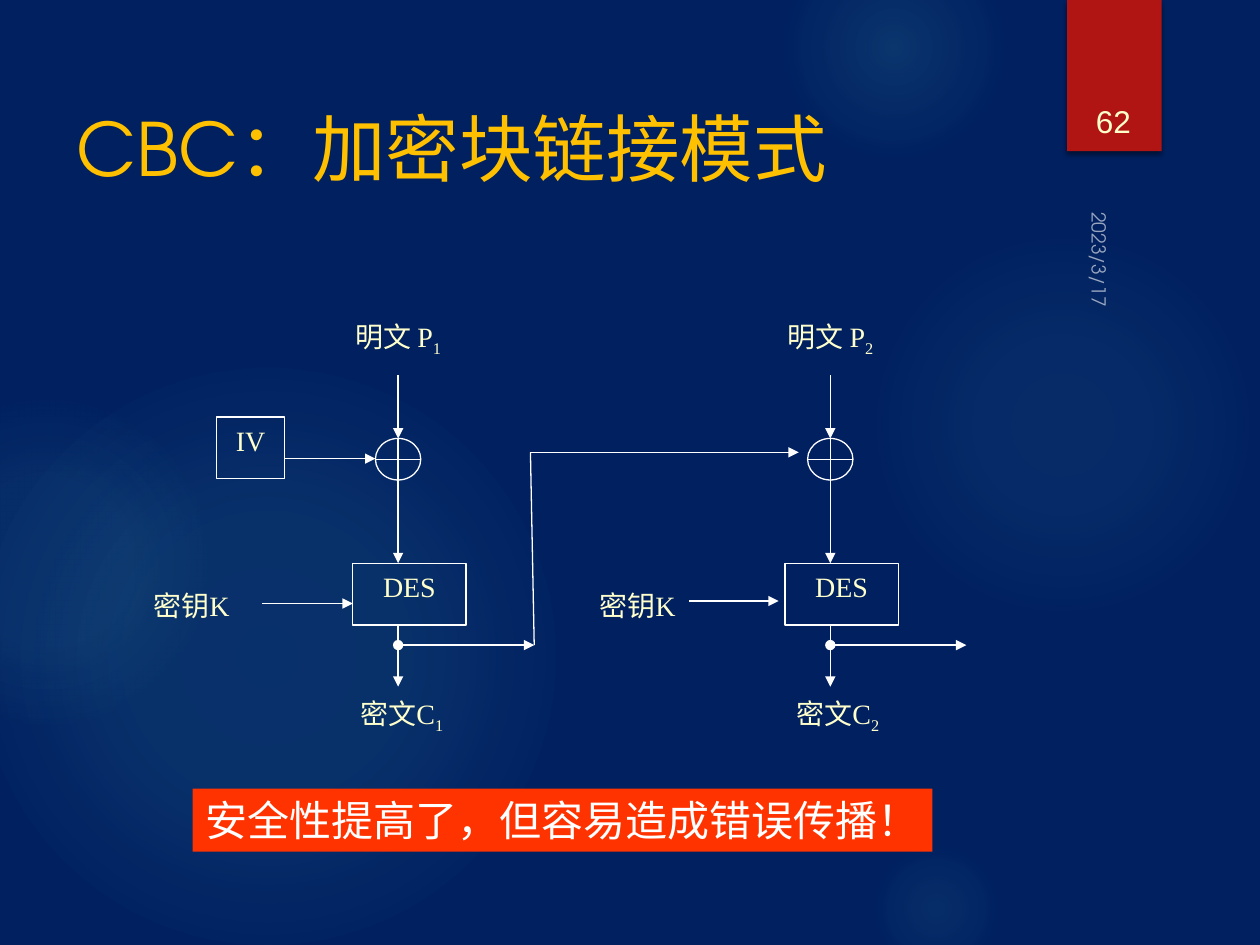
import pptx
import pptx.dml.color
import pptx.enum.shapes
import pptx.enum.text
import pptx.oxml
import pptx.util
from lxml import etree
from pptx.oxml.ns import nsdecls, qn

Inches = pptx.util.Inches
Pt = pptx.util.Pt
SHAPE = pptx.enum.shapes.MSO_SHAPE
ALIGN = pptx.enum.text.PP_ALIGN
ANCHOR = pptx.enum.text.MSO_ANCHOR


def color(hex_value):
    return pptx.dml.color.RGBColor.from_string(hex_value)


class CipherSlide:
    heading_font = "TeX Gyre Adventor"
    body_font = "Times New Roman"
    white = "FFFFFF"
    cream = "FFFFCC"
    gold = "FFC000"
    glow_color = "50B9C1"

    def __init__(self, deck, background):
        self.slide = deck.slides.add_slide(deck.slide_layouts[5])
        self.slide.background.fill.solid()
        self.slide.background.fill.fore_color.rgb = color(background)

    def add_text(self, paragraph, text, size=16, font=body_font, ink=cream):
        run = paragraph.add_run()
        run.text = text
        run.font.size = Pt(size)
        run.font.name = font
        run.font.color.rgb = color(ink)
        return run

    def title(self, text, box):
        heading = self.slide.shapes.title
        heading.left, heading.top, heading.width, heading.height = map(Inches, box)
        heading.text_frame.vertical_anchor = ANCHOR.MIDDLE
        paragraph = heading.text_frame.paragraphs[0]
        paragraph.alignment = ALIGN.LEFT
        self.add_text(paragraph, text, 42, self.heading_font, self.gold)

    def label(self, text, box, subscript="", spacing=0, align=ALIGN.CENTER,
              anchor=ANCHOR.TOP, rotation=0, **style):
        """Add a text box; return its main run."""
        holder = self.slide.shapes.add_textbox(*map(Inches, box))
        holder.rotation = rotation
        frame = holder.text_frame
        frame.word_wrap = True
        frame.vertical_anchor = anchor
        paragraph = frame.paragraphs[0]
        paragraph.alignment = align
        paragraph.space_before = paragraph.space_after = Pt(spacing)
        main_run = self.add_text(paragraph, text, **style)
        if subscript:
            index = self.add_text(paragraph, subscript, **style)
            index.font._element.set("baseline", "-25000")
        return main_run

    def shape(self, kind, box, fill=None, outline=None):
        body = self.slide.shapes.add_shape(kind, *map(Inches, box))
        body.shadow.inherit = False
        if fill:
            body.fill.solid()
            body.fill.fore_color.rgb = color(fill)
        else:
            body.fill.background()
        if outline:
            body.line.color.rgb = color(outline)
            body.line.width = Pt(0.75)
        else:
            body.line.fill.background()
        return body

    def block(self, text, box):
        """Add an outlined box with its name at the top."""
        frame = self.shape(SHAPE.RECTANGLE, box, outline=self.white).text_frame
        frame.vertical_anchor = ANCHOR.TOP
        frame.paragraphs[0].alignment = ALIGN.CENTER
        self.add_text(frame.paragraphs[0], text)

    def glow(self, left, top, size, stops):
        """Add a circle that fades outwards; stops are (position, opacity) in percent."""
        circle = self.shape(SHAPE.OVAL, (left, top, size, size))
        stop_xml = "".join(
            f'<a:gs pos="{position * 1000}"><a:srgbClr val="{self.glow_color}">'
            f'<a:alpha val="{opacity * 1000}"/></a:srgbClr></a:gs>'
            for position, opacity in stops)
        gradient = pptx.oxml.parse_xml(
            f'<a:gradFill {nsdecls("a")}><a:gsLst>{stop_xml}</a:gsLst>'
            '<a:path path="circle"><a:fillToRect l="50000" t="50000" r="50000" b="50000"/>'
            '</a:path></a:gradFill>')
        properties = circle._element.spPr
        properties.replace(properties.find(qn("a:noFill")), gradient)

    def ribbon(self, box, fill):
        tab = self.shape(SHAPE.RECTANGLE, box, fill)
        effects = tab._element.spPr.find(qn("a:effectLst"))
        effects.append(pptx.oxml.parse_xml(
            f'<a:outerShdw {nsdecls("a")} blurRad="{Pt(3)}" dist="{Pt(2)}" dir="5400000">'
            '<a:srgbClr val="000000"><a:alpha val="45000"/></a:srgbClr></a:outerShdw>'))

    def line(self, start, end, head=None, tail="triangle"):
        link = self.slide.shapes.add_connector(
            pptx.enum.shapes.MSO_CONNECTOR.STRAIGHT, *map(Inches, (*start, *end)))
        link.line.color.rgb = color(self.white)
        link.line.width = Pt(0.75)
        outline = link.line._get_or_add_ln()
        for tag, mark in (("a:headEnd", head), ("a:tailEnd", tail)):
            if mark:
                etree.SubElement(outline, qn(tag)).set("type", mark)
        etree.SubElement(link._element.spPr, qn("a:effectLst"))

    def banner(self, text, box, fill):
        frame = self.shape(SHAPE.RECTANGLE, box, fill).text_frame
        frame.word_wrap = False
        frame.auto_size = pptx.enum.text.MSO_AUTO_SIZE.SHAPE_TO_FIT_TEXT
        frame.vertical_anchor = ANCHOR.TOP
        frame.paragraphs[0].alignment = ALIGN.LEFT
        self.add_text(frame.paragraphs[0], text, 24, ink=self.white)

    def stage(self, number, axis, key_box, key_arrow, cipher_box):
        """Draw one encryption stage along the vertical at axis."""
        self.label("明文 P", (axis - 0.54, 2.49, 1.08, 0.49), number)
        self.line((axis, 2.98), (axis, 3.48))
        self.shape(SHAPE.FLOWCHART_OR, (axis - 0.18, 3.48, 0.36, 0.33), outline=self.white)
        self.line((axis, 3.81), (axis, 4.47))
        self.block("DES", (axis - 0.36, 4.47, 0.9, 0.49))
        self.label("密钥K", key_box)
        self.line(*key_arrow)
        self.line((axis, 4.96), (axis, 5.45))
        self.line((axis, 5.12), (axis + 1.08, 5.12), head="oval")
        self.label("密文C", cipher_box, number, spacing=7.8)


def main():
    deck = pptx.Presentation()
    deck.slide_width, deck.slide_height = Inches(10), Inches(7.5)
    page = CipherSlide(deck, "002060")

    page.glow(6.89, 1.83, 3.08, [(0, 7), (36, 6), (69, 0)])
    page.glow(6.22, -0.5, 1.75, [(0, 14), (36, 7), (73, 0)])
    page.glow(6.89, 6.67, 1.08, [(0, 9), (36, 5), (66, 0)])
    page.glow(-0.17, 2.92, 4.58, [(0, 11), (36, 10), (75, 0)])
    page.glow(-0.92, 3.17, 2.58, [(0, 8), (36, 8), (72, 0)])
    page.ribbon((8.47, 0, 0.75, 1.2), "B01513")

    date = page.label("2023/3/17", (8.2, 2, 1.08, 0.25), align=ALIGN.LEFT, rotation=90,
                      size=11, font=page.heading_font, ink=page.white)
    date_color = date.font._element.find(".//" + qn("a:srgbClr"))
    etree.SubElement(date_color, qn("a:alpha")).set("val", "60000")
    page.label("62", (8.49, 0.32, 0.69, 0.84), anchor=ANCHOR.BOTTOM, size=18, font="Arial")
    page.title("CBC：加密块链接模式", (0.51, 0.72, 7.72, 0.9))

    page.stage("1", 3.16, (0.98, 4.62, 1.08, 0.49), ((2.08, 4.79), (2.8, 4.79)),
               (2.56, 5.48, 1.26, 0.39))
    page.stage("2", 6.59, (4.61, 4.62, 0.9, 0.49), ((5.47, 4.77), (6.18, 4.77)),
               (6.02, 5.48, 1.26, 0.47))
    page.block("IV", (1.72, 3.31, 0.54, 0.49))
    page.line((2.26, 3.64), (2.98, 3.64))

    chain_top = (4.21, 3.59)
    page.line(chain_top, (4.24, 5.12), tail=None)
    page.line(chain_top, (6.34, 3.59))
    page.banner("安全性提高了，但容易造成错误传播！", (1.53, 6.26, 5.87, 0.5), "FF3300")

    deck.save("out.pptx")


if __name__ == "__main__":
    main()
